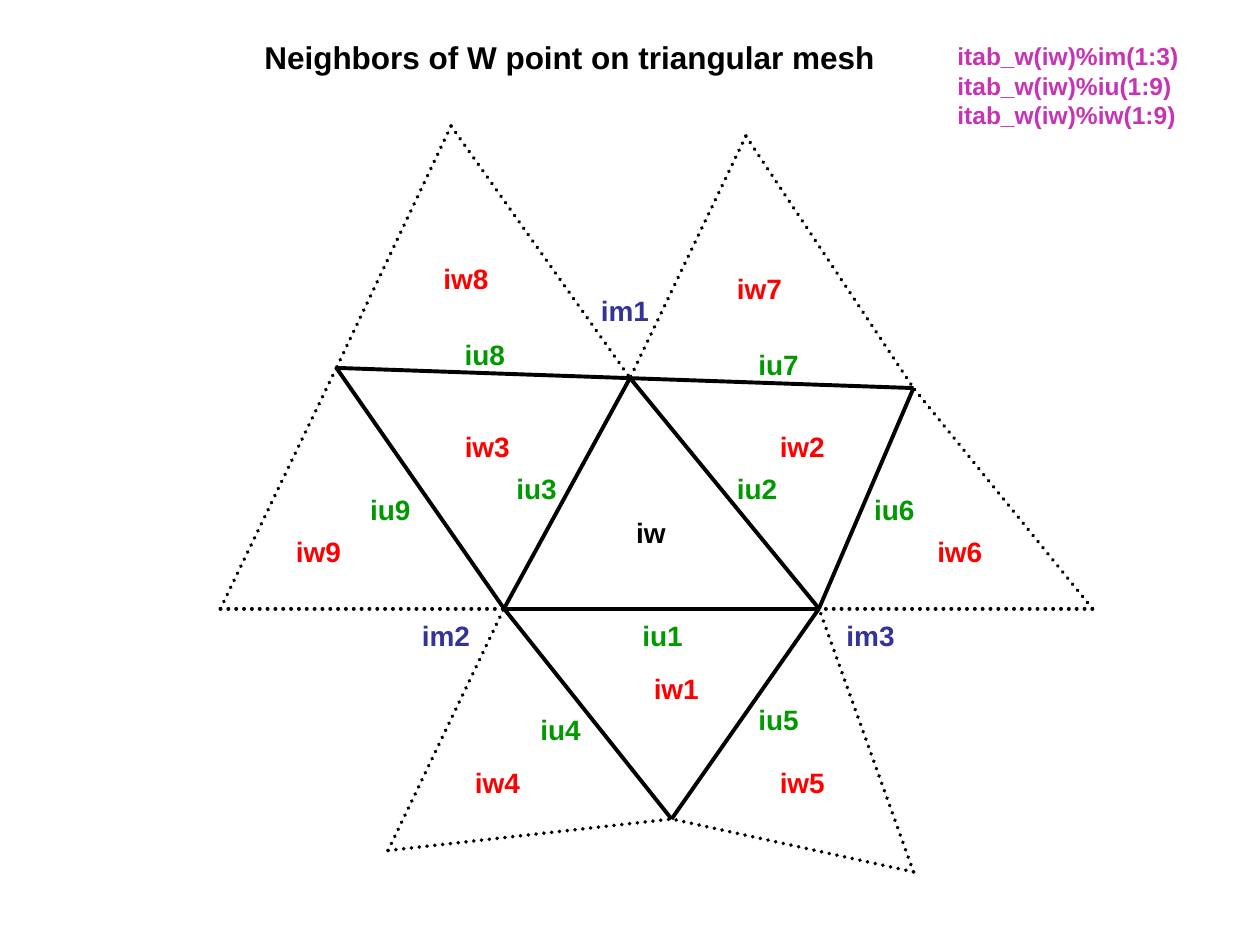
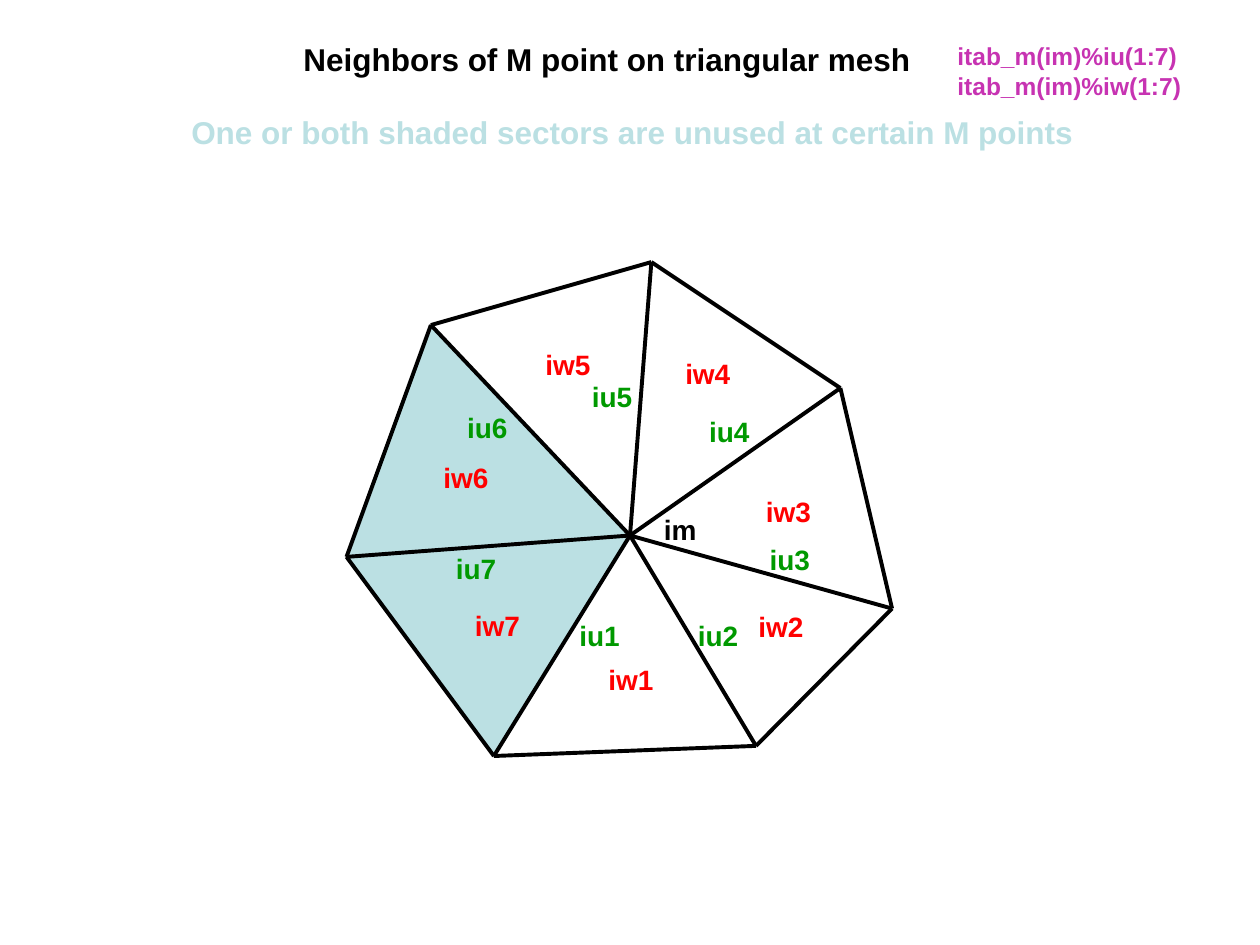
from dataclasses import dataclass

from lxml.etree import SubElement
from pptx import Presentation
from pptx.dml.color import RGBColor
from pptx.enum.dml import MSO_LINE
from pptx.enum.shapes import MSO_CONNECTOR
from pptx.enum.text import MSO_AUTO_SIZE
from pptx.oxml.ns import qn
from pptx.util import Inches, Pt


@dataclass(frozen=True)
class Theme:
    font: str = "Arial"
    ink: str = "000000"
    vertex: str = "333399"
    edge: str = "009900"
    cell: str = "FF0000"
    code: str = "C733B2"
    shade: str = "BBE0E3"
    title_size: int = 18
    label_size: int = 16
    code_size: int = 14
    line: float = 2.25
    thin_line: float = 0.75


THEME = Theme()

# Label kind: colour and box width; a bare name marks the central point
LABEL_STYLES = {
    "im": (THEME.vertex, 0.6),
    "iu": (THEME.edge, 0.54),
    "iw": (THEME.cell, 0.58),
}
CENTRE_WIDTHS = {"im": 0.48, "iw": 0.46}
LABEL_HEIGHT = 0.37

# Slide 1: W point. Each edge is a pair of vertex names.
W_TITLE = ("Neighbors of W point on triangular mesh", 2, 0.25, 5.1)
W_CODE = ["itab_w(iw)%im(1:3)", "itab_w(iw)%iu(1:9)", "itab_w(iw)%iw(1:9)"]
W_VERTICES = {
    "im1": (5, 3), "im2": (4, 4.83), "im3": (6.5, 4.83),
    "upper left": (2.67, 2.92), "upper right": (7.25, 3.08), "bottom": (5.33, 6.5),
    "top left": (3.58, 1), "top right": (5.92, 1.08),
    "far left": (1.75, 4.83), "far right": (8.67, 4.83),
    "low left": (3.08, 6.75), "low right": (7.25, 6.92),
}
W_SOLID_EDGES = [
    ("im2", "im3"), ("im2", "im1"), ("im1", "im3"), ("im2", "bottom"),
    ("bottom", "im3"), ("im2", "upper left"), ("upper left", "upper right"),
    ("upper right", "im3"),
]
# Outer triangles: tip, then the two vertices it joins
W_OUTER_TRIANGLES = [
    ("low left", "im2", "bottom"), ("low right", "bottom", "im3"),
    ("far right", "im3", "upper right"), ("top right", "upper right", "im1"),
    ("top left", "im1", "upper left"), ("far left", "upper left", "im2"),
]
W_LABELS = {
    "iw": (4.95, 4.04),
    "im1": (4.67, 2.28), "im2": (3.25, 4.86), "im3": (6.62, 4.86),
    "iu1": (5, 4.86), "iu2": (5.75, 3.69), "iu3": (4, 3.69),
    "iu4": (4.19, 5.61), "iu5": (5.92, 5.53), "iu6": (6.84, 3.86),
    "iu7": (5.92, 2.71), "iu8": (3.59, 2.63), "iu9": (2.84, 3.86),
    "iw1": (5.09, 5.28), "iw2": (6.09, 3.36), "iw3": (3.59, 3.36),
    "iw4": (3.67, 6.03), "iw5": (6.09, 6.03), "iw6": (7.34, 4.19),
    "iw7": (5.75, 2.11), "iw8": (3.42, 2.03), "iw9": (2.25, 4.19),
}

# Slide 2: M point. The rim runs from spoke iu1 to spoke iu7.
M_TITLE = ("Neighbors of M point on triangular mesh", 2.31, 0.27, 5.08)
M_NOTE = ("One or both shaded sectors are unused at certain M points", 1.42, 0.85, 7.26)
M_CODE = ["itab_m(im)%iu(1:7)", "itab_m(im)%iw(1:7)"]
M_CENTRE = (5, 4.25)
M_RIM = [(3.92, 6), (6, 5.92), (7.08, 4.83), (6.67, 3.08),
         (5.17, 2.08), (3.42, 2.58), (2.75, 4.42)]
M_SHADED = [M_RIM[0], M_CENTRE, M_RIM[5], M_RIM[6]]
M_LABELS = {
    "im": (5.17, 4.02),
    "iu1": (4.5, 4.86), "iu2": (5.44, 4.86), "iu3": (6.01, 4.26),
    "iu4": (5.53, 3.24), "iu5": (4.6, 2.96), "iu6": (3.61, 3.21),
    "iu7": (3.52, 4.33),
    "iw1": (4.73, 5.21), "iw2": (5.92, 4.79), "iw3": (5.98, 3.88),
    "iw4": (5.34, 2.78), "iw5": (4.23, 2.71), "iw6": (3.42, 3.61),
    "iw7": (3.67, 4.78),
}


def color(value):
    return RGBColor.from_string(value)


def add_text(shapes, text, left, top, width, height, size, ink):
    box = shapes.add_textbox(Inches(left), Inches(top), Inches(width), Inches(height))
    frame = box.text_frame
    frame.text = text
    frame.word_wrap = False
    frame.auto_size = MSO_AUTO_SIZE.SHAPE_TO_FIT_TEXT
    for para in frame.paragraphs:
        for span in para.runs:
            span.font.name = THEME.font
            span.font.size = Pt(size)
            span.font.bold = True
            span.font.color.rgb = color(ink)


def add_heading(shapes, text, left, top, width, ink=THEME.ink):
    add_text(shapes, text, left, top, width, 0.4, THEME.title_size, ink)


def add_code(shapes, lines):
    height = 0.1 + 0.235 * len(lines)
    add_text(shapes, "\n".join(lines), 7.5, 0.28, 2.02, height, THEME.code_size, THEME.code)


def add_labels(shapes, labels):
    for name, (left, top) in labels.items():
        ink, width = LABEL_STYLES[name[:2]]
        if name in CENTRE_WIDTHS:
            ink, width = THEME.ink, CENTRE_WIDTHS[name]
        add_text(shapes, name, left, top, width, LABEL_HEIGHT, THEME.label_size, ink)


def add_edge(shapes, start, end, dotted=False):
    ends = [Inches(value) for value in (*start, *end)]
    edge = shapes.add_connector(MSO_CONNECTOR.STRAIGHT, *ends)
    edge.line.color.rgb = color(THEME.ink)
    edge.line.width = Pt(THEME.line)
    properties = edge._element.spPr
    if dotted:
        edge.line.dash_style = MSO_LINE.ROUND_DOT
        properties.find(qn("a:ln")).set("cap", "rnd")
    SubElement(properties, qn("a:effectLst"))


def add_shaded_area(shapes, corners):
    points = [(Inches(x), Inches(y)) for x, y in corners]
    builder = shapes.build_freeform(*points[0])
    builder.add_line_segments(points[1:], close=True)
    area = builder.convert_to_shape()
    area.shadow.inherit = False
    area.fill.solid()
    area.fill.fore_color.rgb = color(THEME.shade)
    area.line.color.rgb = color(THEME.ink)
    area.line.width = Pt(THEME.thin_line)


def build_w_page(page):
    shapes = page.shapes
    for start, end in W_SOLID_EDGES:
        add_edge(shapes, W_VERTICES[start], W_VERTICES[end])
    for tip, *base in W_OUTER_TRIANGLES:
        for vertex in base:
            add_edge(shapes, W_VERTICES[tip], W_VERTICES[vertex], dotted=True)
    add_labels(shapes, W_LABELS)
    add_heading(shapes, *W_TITLE)
    add_code(shapes, W_CODE)


def build_m_page(page):
    # The fan of sectors is one group
    fan = page.shapes.add_group_shape().shapes
    add_shaded_area(fan, M_SHADED)
    for vertex, following in zip(M_RIM, M_RIM[1:] + M_RIM[:1]):
        add_edge(fan, M_CENTRE, vertex)
        add_edge(fan, vertex, following)
    add_labels(fan, M_LABELS)
    # Headings
    add_heading(page.shapes, *M_NOTE, ink=THEME.shade)
    add_heading(page.shapes, *M_TITLE)
    add_code(page.shapes, M_CODE)


def main():
    deck = Presentation()
    deck.slide_width, deck.slide_height = Inches(10), Inches(7.5)
    blank = deck.slide_layouts[6]
    for build_page in (build_w_page, build_m_page):
        build_page(deck.slides.add_slide(blank))
    deck.save("out.pptx")


if __name__ == "__main__":
    main()
